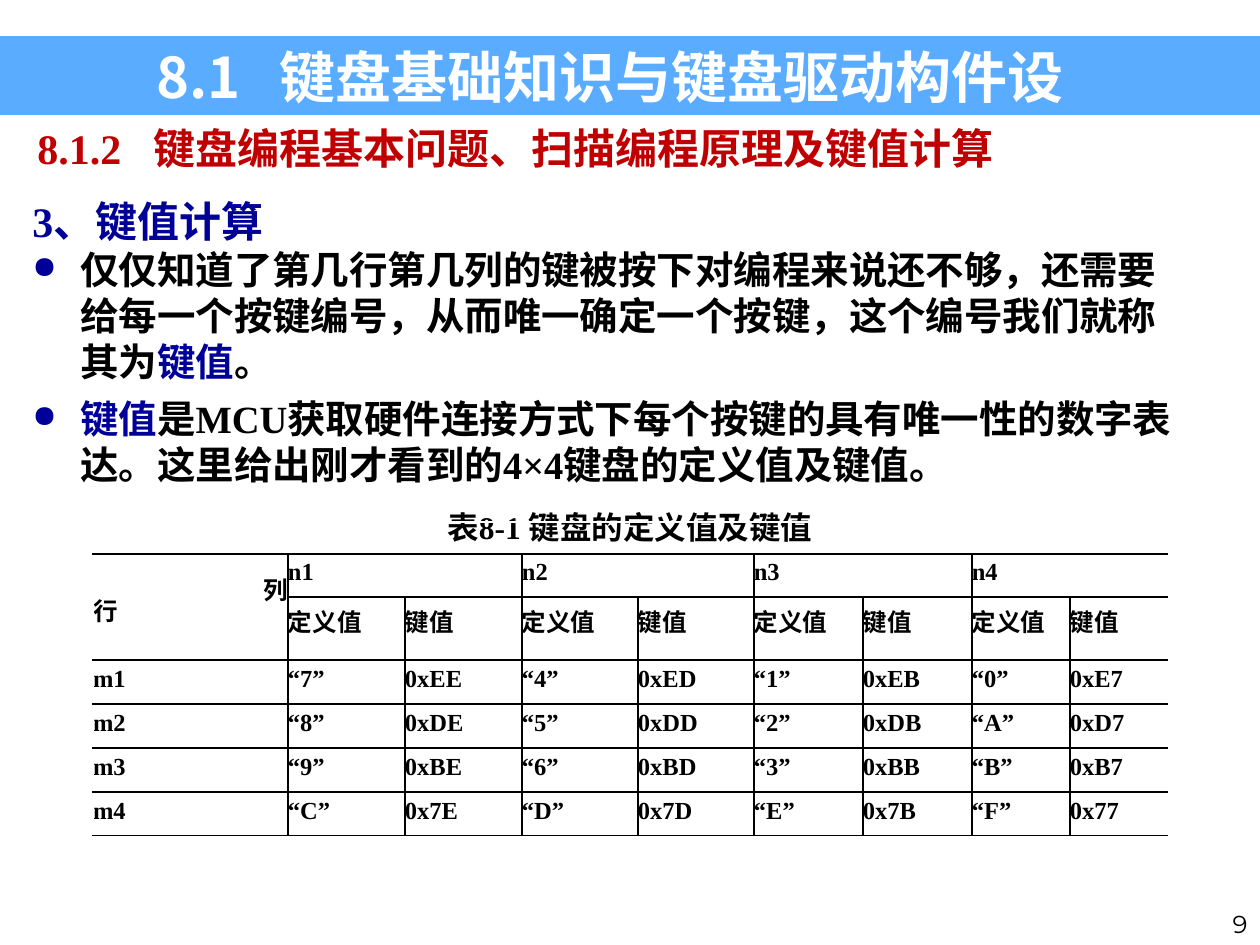
from dataclasses import dataclass
from typing import Optional

from lxml.etree import SubElement
from pptx import Presentation
from pptx.dml.color import RGBColor
from pptx.enum.shapes import MSO_SHAPE
from pptx.enum.text import MSO_ANCHOR, MSO_AUTO_SIZE, PP_ALIGN
from pptx.oxml import parse_xml
from pptx.oxml.ns import nsdecls, qn
from pptx.util import Emu, Pt

PX = 914400 // 126
COLORS = {
    "band": "3399FF", "white": "FFFFFF", "black": "000000",
    "red": "C00000", "navy": "000099",
}
SERIF = "Times New Roman"


@dataclass
class Box:
    x: int
    y: int
    w: int
    h: int

    def emu(self) -> list[Emu]:
        return [Emu(v * PX) for v in (self.x, self.y, self.w, self.h)]


@dataclass
class Entry:
    row: int
    col: int
    lines: list[str]
    rows: int = 1
    cols: int = 1


def write(p, text: str, *, size: int = 14, color: str = "black", font: str = SERIF,
          bold: bool = True, align: Optional[PP_ALIGN] = None, spacing=None,
          before: int = 0) -> None:
    """Add a run to a paragraph and format both."""
    r = p.add_run()
    r.text = text
    r.font.size, r.font.name, r.font.bold = Pt(size), font, bold
    r.font.color.rgb = RGBColor.from_string(COLORS[color])
    if align is not None:
        p.alignment = align
    if spacing is not None:
        p.line_spacing = spacing
    if before:
        p.space_before = Pt(before)


def add_text_box(s, box: Box, wrap: bool = True, grow: bool = True):
    tf = s.shapes.add_textbox(*box.emu()).text_frame
    tf.word_wrap = wrap
    tf.auto_size = MSO_AUTO_SIZE.SHAPE_TO_FIT_TEXT if grow else MSO_AUTO_SIZE.NONE
    return tf


def add_tab(p, pos: int) -> None:
    tabs = SubElement(p._p.get_or_add_pPr(), qn("a:tabLst"))
    SubElement(tabs, qn("a:tab"), pos=str(pos * PX), algn="l")


def add_bullet(p) -> None:
    pPr = p._p.get_or_add_pPr()
    pPr.set("marL", str(48 * PX))
    pPr.set("indent", str(-48 * PX))
    clr = SubElement(pPr, qn("a:buClr"))
    SubElement(clr, qn("a:srgbClr"), val=COLORS["navy"])
    SubElement(pPr, qn("a:buSzPct"), val="80000")
    SubElement(pPr, qn("a:buChar"), char="●")


def set_borders(cell, **sides: str) -> None:
    """Draw 1 pt borders; sides L, R, T and B in that order."""
    tcPr = cell._tc.get_or_add_tcPr()
    for i, (side, color) in enumerate(sides.items()):
        tcPr.insert(i, parse_xml(
            f'<a:ln{side} {nsdecls("a")} w="12700"><a:solidFill>'
            f'<a:srgbClr val="{COLORS[color]}"/></a:solidFill></a:ln{side}>'))


def fill_entry(table, e: Entry) -> None:
    cell = table.cell(e.row, e.col)
    if e.rows * e.cols > 1:
        cell.merge(table.cell(e.row + e.rows - 1, e.col + e.cols - 1))
    caption = e.row == 0
    at_right = e.col + e.cols == len(table.columns)
    set_borders(cell, L="black" if e.col else "white",
                R="white" if at_right else "black",
                T="white" if caption else "black", B="black")
    tf = cell.text_frame
    for i, line in enumerate(e.lines):
        p = tf.add_paragraph() if i else tf.paragraphs[0]
        align = PP_ALIGN.CENTER if caption else PP_ALIGN.LEFT
        if line == "列":
            align = PP_ALIGN.RIGHT
        write(p, line, size=18 if caption else 14, align=align, spacing=Pt(12))


def add_key_table(s, box: Box, col_w: list[int], row_h: list[int],
                  entries: list[Entry]) -> None:
    table = s.shapes.add_table(len(row_h), len(col_w), *box.emu()).table
    table.first_row = table.horz_banding = False
    for column, w in zip(table.columns, col_w):
        column.width = Emu(w * PX)
    for row, h in zip(table.rows, row_h):
        row.height = Emu(h * PX)
    for cell in table.iter_cells():
        cell.fill.background()
        cell.vertical_anchor = MSO_ANCHOR.MIDDLE
        cell.margin_left = cell.margin_right = 0
        cell.margin_top = cell.margin_bottom = 0
    for e in entries:
        fill_entry(table, e)


def key_entries() -> list[Entry]:
    keys = ["7410", "852A", "963B", "CDEF"]
    entries = [Entry(0, 0, ["表8-1 键盘的定义值及键值"], cols=9),
               Entry(1, 0, ["列", "行"], rows=2)]
    for n in range(4):
        col = 1 + 2 * n
        entries += [Entry(1, col, [f"n{n + 1}"], cols=2),
                    Entry(2, col, ["定义值"]), Entry(2, col + 1, ["键值"])]
    # Each key code has one row bit and one column bit cleared
    for m, names in enumerate(keys):
        entries.append(Entry(3 + m, 0, [f"m{m + 1}"]))
        for n, name in enumerate(names):
            code = 0xFF ^ (1 << (4 + m)) ^ (1 << n)
            entries += [Entry(3 + m, 1 + 2 * n, [f"“{name}”"]),
                        Entry(3 + m, 2 + 2 * n, [f"0x{code:02X}"])]
    return entries


def main() -> None:
    prs = Presentation()
    prs.slide_width, prs.slide_height = Emu(1260 * PX), Emu(945 * PX)
    s = prs.slides.add_slide(prs.slide_layouts[6])

    # Title band
    sp = s.shapes.add_shape(MSO_SHAPE.RECTANGLE, *Box(0, 36, 1260, 79).emu())
    sp.shadow.inherit = False
    sp.line.fill.background()
    sp.fill.solid()
    sp.fill.fore_color.rgb = RGBColor.from_string(COLORS["band"])
    SubElement(sp.fill._xPr.find(".//" + qn("a:srgbClr")), qn("a:alpha"), val="81000")

    # Page number
    tf = add_text_box(s, Box(966, 882, 294, 63), grow=False)
    tf.vertical_anchor = MSO_ANCHOR.BOTTOM
    write(tf.paragraphs[0], "9", font="Montserrat", bold=False, align=PP_ALIGN.RIGHT)

    # Title and section heading
    p = add_text_box(s, Box(144, 36, 973, 81), wrap=False).paragraphs[0]
    add_tab(p, 123)
    write(p, "8.1\t键盘基础知识与键盘驱动构件设计", size=32, color="white",
          font="Noto Sans CJK JP")
    p = add_text_box(s, Box(25, 116, 984, 63), wrap=False).paragraphs[0]
    add_tab(p, 116)
    write(p, "8.1.2\t键盘编程基本问题、扫描编程原理及键值计算", size=24, color="red")

    # Explanation
    tf = add_text_box(s, Box(20, 184, 1176, 312))
    write(tf.paragraphs[0], "3、键值计算", size=24, color="navy",
          align=PP_ALIGN.JUSTIFY, spacing=1.1)
    bullets = [
        (0, [("仅仅知道了第几行第几列的键被按下对编程来说还不够，还需要给每一个按键编号，"
              "从而唯一确定一个按键，这个编号我们就称其为", "black"),
             ("键值", "navy"), ("。", "black")]),
        (6, [("键值", "navy"),
             ("是MCU获取硬件连接方式下每个按键的具有唯一性的数字表达。"
              "这里给出刚才看到的4×4键盘的定义值及键值。", "black")]),
    ]
    for before, runs in bullets:
        p = tf.add_paragraph()
        add_bullet(p)
        for text, color in runs:
            write(p, text, size=22, color=color, before=before)

    # Key value table
    add_key_table(s, Box(93, 522, 1074, 315),
                  [195, 117, 117, 116, 116, 109, 109, 98, 97],
                  [32, 43, 63, 44, 44, 44, 44], key_entries())

    prs.save("out.pptx")


if __name__ == "__main__":
    main()
